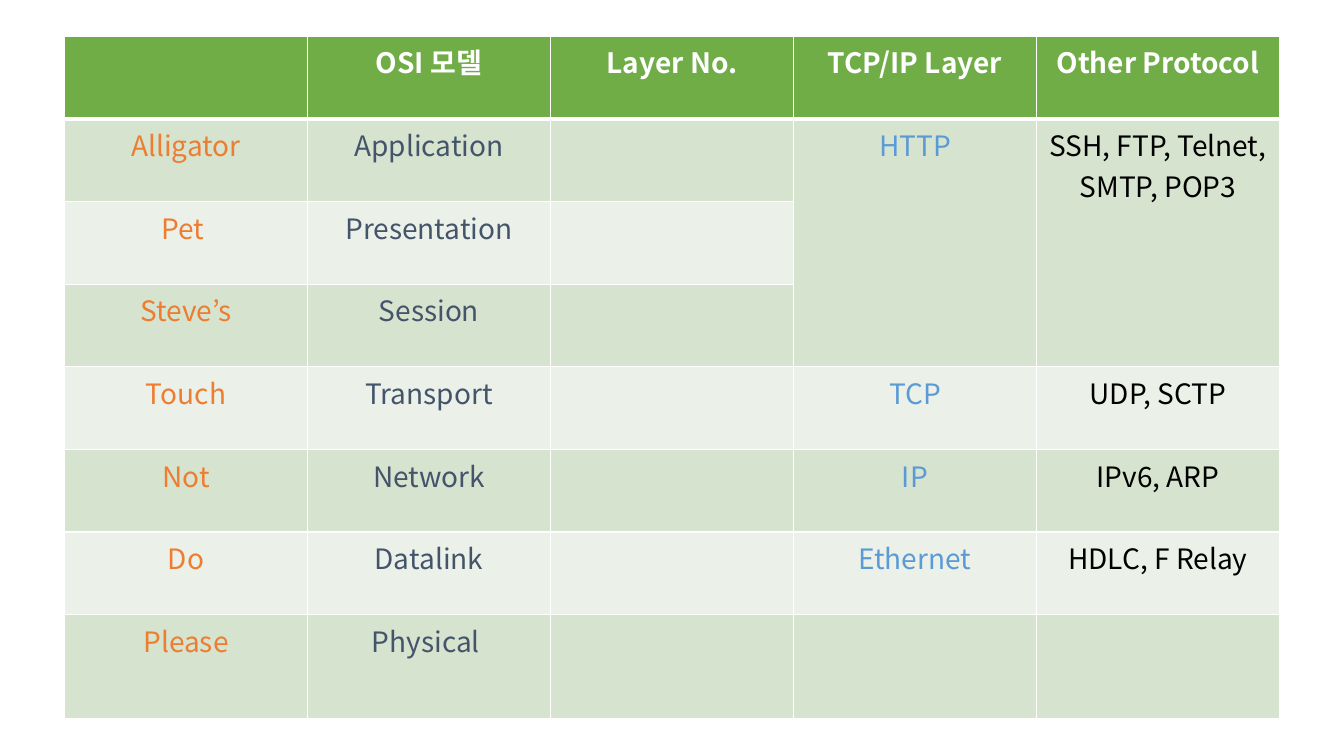
"""Build a slide with a table that maps OSI layers to TCP/IP layers and protocols."""
from lxml.etree import SubElement
from pptx import Presentation
from pptx.dml.color import RGBColor
from pptx.enum.text import PP_ALIGN
from pptx.oxml.ns import qn
from pptx.util import Inches, Pt

FONT = "Noto Sans CJK KR"
WHITE = RGBColor(0xFF, 0xFF, 0xFF)
BLACK = RGBColor(0x00, 0x00, 0x00)
GREEN = RGBColor(0x70, 0xAD, 0x47)
ORANGE = RGBColor(0xED, 0x7D, 0x31)
SLATE = RGBColor(0x44, 0x54, 0x6A)
BLUE = RGBColor(0x5B, 0x9B, 0xD5)
BANDS = (RGBColor(0xEB, 0xF1, 0xE9), RGBColor(0xD5, 0xE3, 0xCF))

ROWS = [
    ("", "OSI 모델", "Layer No.", "TCP/IP Layer", "Other Protocol"),
    ("Alligator", "Application", "", "HTTP", "SSH, FTP, Telnet, SMTP, POP3"),
    ("Pet ", "Presentation", "", "", ""),
    ("Steve’s", "Session", "", "", ""),
    ("Touch", "Transport", "", "TCP", "UDP, SCTP"),
    ("Not", "Network", "", "IP", "IPv6, ARP"),
    ("Do", "Datalink", "", "Ethernet", "HDLC, F Relay"),
    ("Please", "Physical ", "", "", ""),
]
COLUMN_COLORS = (ORANGE, SLATE, BLACK, BLUE, BLACK)
MERGED_COLUMNS = (3, 4)
MERGED_ROWS = (1, 3)
COLUMN_WIDTH = 2.41
ROW_HEIGHTS = [0.82] * 7 + [1.03]


def add_borders(cell, widths):
    """Draw white borders, with widths in points keyed by side."""
    tc_pr = cell._tc.get_or_add_tcPr()
    for side, width in widths.items():
        ln = SubElement(tc_pr, qn(f"a:ln{side}"), w=str(Pt(width)))
        fill = SubElement(ln, qn("a:solidFill"))
        SubElement(fill, qn("a:srgbClr"), val=str(WHITE))


def add_text(cell, text, color, bold):
    """Add one centred run to a cell."""
    p = cell.text_frame.paragraphs[0]
    p.alignment = PP_ALIGN.CENTER
    r = p.add_run()
    r.text = text
    r.font.name = FONT
    r.font.size = Pt(20)
    r.font.bold = bold
    r.font.color.rgb = color
    SubElement(r.font._element, qn("a:ea"), typeface=FONT)


prs = Presentation()
prs.slide_width, prs.slide_height = Inches(13.33), Inches(7.5)
s = prs.slides.add_slide(prs.slide_layouts[6])
n_cols = len(COLUMN_COLORS)
table = s.shapes.add_table(
    len(ROWS), n_cols, Inches(0.64), Inches(0.36),
    Inches(COLUMN_WIDTH * n_cols), Inches(sum(ROW_HEIGHTS)),
).table
for column in table.columns:
    column.width = Inches(COLUMN_WIDTH)
for row, height in zip(table.rows, ROW_HEIGHTS):
    row.height = Inches(height)

for i, texts in enumerate(ROWS):
    header = i == 0
    for j, text in enumerate(texts):
        cell = table.cell(i, j)
        merged = j in MERGED_COLUMNS and MERGED_ROWS[0] <= i <= MERGED_ROWS[1]
        band = MERGED_ROWS[0] if merged else i
        add_borders(cell, {"L": 1, "R": 1, "T": 3 if i == 1 else 1, "B": 3 if header else 1})
        cell.fill.solid()
        cell.fill.fore_color.rgb = GREEN if header else BANDS[band % 2]
        if text:
            add_text(cell, text, WHITE if header else COLUMN_COLORS[j], header)

first, last = MERGED_ROWS
for j in MERGED_COLUMNS:
    table.cell(first, j).merge(table.cell(last, j))

prs.save("out.pptx")
